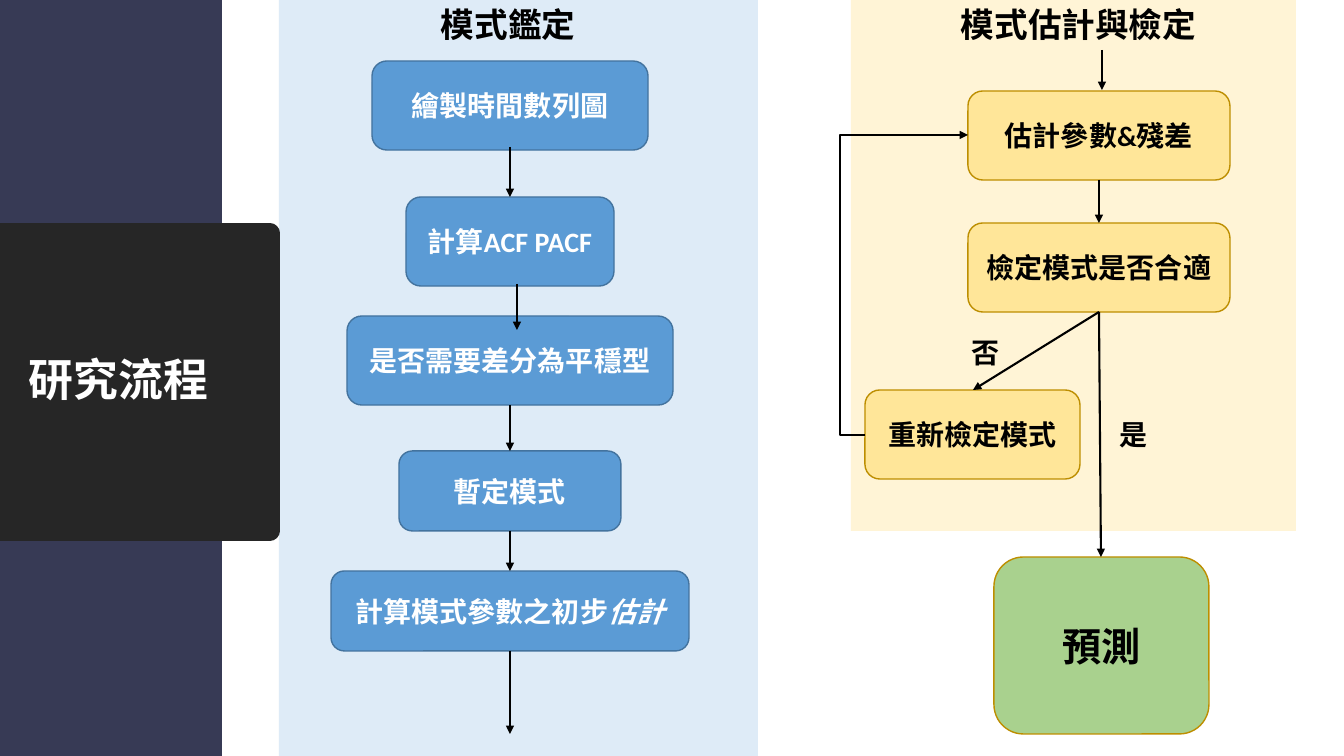
from lxml import etree
from pptx import Presentation
from pptx.dml.color import RGBColor
from pptx.enum.shapes import MSO_CONNECTOR, MSO_SHAPE
from pptx.enum.text import MSO_ANCHOR, PP_ALIGN
from pptx.oxml.ns import qn
from pptx.util import Pt

RECT, ROUND = MSO_SHAPE.RECTANGLE, MSO_SHAPE.ROUNDED_RECTANGLE
STRAIGHT, ELBOW = MSO_CONNECTOR.STRAIGHT, MSO_CONNECTOR.ELBOW
CENTER, LEFT, MIDDLE = PP_ALIGN.CENTER, PP_ALIGN.LEFT, MSO_ANCHOR.MIDDLE

PX = 914400 / 100.8
WIDTH, HEIGHT = 1344, 756
TITLE_ONLY = 5
FONT = "Calibri"

BLACK = RGBColor(0x00, 0x00, 0x00)
WHITE = RGBColor(0xFF, 0xFF, 0xFF)
CHARCOAL = RGBColor(0x26, 0x26, 0x26)
NAVY = RGBColor(0x37, 0x3A, 0x55)
PALE_BLUE = RGBColor(0xDE, 0xEB, 0xF7)
BLUE = RGBColor(0x5B, 0x9B, 0xD5)
DARK_BLUE = RGBColor(0x43, 0x73, 0x9E)
CREAM = RGBColor(0xFF, 0xF2, 0xCC)
YELLOW = RGBColor(0xFF, 0xE6, 0x99)
GOLD = RGBColor(0xBD, 0x8E, 0x00)
GREEN = RGBColor(0xA9, 0xD1, 0x8E)


def emu(*lengths):
    return [round(n * PX) for n in lengths]


class FlowSlide:
    """One title-only slide and the style of its elements."""

    def __init__(self, prs):
        self.slide = prs.slides.add_slide(prs.slide_layouts[TITLE_ONLY])
        self.shapes = self.slide.shapes

    def set_text(self, sp, runs, size, color, align=CENTER):
        """Fill a shape with one bold paragraph; runs after the first are italic."""
        tf = sp.text_frame
        tf.vertical_anchor = MIDDLE
        p = tf.paragraphs[0]
        p.alignment = align
        p.font.name, p.font.size, p.font.bold = FONT, Pt(size), True
        p.font.color.rgb = color
        for i, text in enumerate(runs):
            r = p.add_run()
            r.text = text
            if i:
                r.font.italic = True
        return p

    def title(self, text, x, y, w, h):
        sp = self.shapes.title
        sp.left, sp.top, sp.width, sp.height = emu(x, y, w, h)
        sp.fill.solid()
        sp.fill.fore_color.rgb = CHARCOAL
        sp.line.color.rgb = CHARCOAL
        sp.line.width = Pt(13.75)
        self.set_text(sp, [text], 32, WHITE).line_spacing = 0.9
        # Bring the title in front of the panels drawn so far.
        sp.element.getparent().append(sp.element)

    def panel(self, x, y, w, h, fill, opacity=100, kind=RECT):
        sp = self.shapes.add_shape(kind, *emu(x, y, w, h))
        sp.shadow.inherit = False
        sp.fill.solid()
        sp.fill.fore_color.rgb = fill
        sp.line.fill.background()
        if opacity < 100:
            clr = sp.element.spPr.find(".//" + qn("a:srgbClr"))
            etree.SubElement(clr, qn("a:alpha"), val=str(opacity * 1000))
        return sp

    def box(self, x, y, w, h, runs, fill, line, color=BLACK, size=20):
        sp = self.panel(x, y, w, h, fill, kind=ROUND)
        sp.line.color.rgb = line
        sp.line.width = Pt(1)
        sp.text_frame.word_wrap = True
        self.set_text(sp, runs, size, color)

    def label(self, x, y, w, h, text, size):
        sp = self.shapes.add_textbox(*emu(x, y, w, h))
        sp.text_frame.word_wrap = False
        self.set_text(sp, [text], size, BLACK, LEFT)

    def arrow(self, x1, y1, x2, y2, kind=STRAIGHT):
        cxn = self.shapes.add_connector(kind, *emu(x1, y1, x2, y2))
        cxn.line.color.rgb = BLACK
        cxn.line.width = Pt(1.5)
        spPr = cxn.element.spPr
        etree.SubElement(spPr.find(qn("a:ln")), qn("a:tailEnd"), type="triangle")
        etree.SubElement(spPr, qn("a:effectLst"))
        return cxn

    def loop_arrow(self, x1, y1, x2, y2, bend_x):
        """Draw an elbow arrow whose vertical part lies at bend_x."""
        spPr = self.arrow(x1, y1, x2, y2, ELBOW).element.spPr
        geom = spPr.find(qn("a:prstGeom"))
        av = geom.find(qn("a:avLst"))
        if av is None:
            av = etree.SubElement(geom, qn("a:avLst"))
        bend = round((bend_x - x1) / (x2 - x1) * 100000)
        etree.SubElement(av, qn("a:gd"), name="adj1", fmla=f"val {bend}")


def main():
    prs = Presentation()
    prs.slide_width, prs.slide_height = emu(WIDTH, HEIGHT)
    s = FlowSlide(prs)

    s.panel(279, 0, 479, HEIGHT, PALE_BLUE)
    s.panel(0, 0, 222, HEIGHT, NAVY)
    s.title("研究流程", -33, 233, 303, 298)
    s.panel(851, 0, 445, 531, CREAM, opacity=80)

    axis = 510
    identification_steps = [
        (61, 276, 89, ["繪製時間數列圖"]),
        (197, 208, 89, ["計算ACF PACF"]),
        (316, 326, 89, ["是否需要差分為平穩型"]),
        (451, 222, 80, ["暫定模式"]),
        (571, 358, 80, ["計算模式參數之初步", "估計"]),
    ]
    for top, w, h, runs in identification_steps:
        s.box(axis - w // 2, top, w, h, runs, BLUE, DARK_BLUE, WHITE)
    for x, start, end in [(axis, 147, 197), (517, 284, 330), (axis, 405, 451),
                          (axis, 531, 571), (axis, 651, 734)]:
        s.arrow(x, start, x, end)

    for x, y, w, text in [(968, 91, 262, "估計參數&殘差"),
                          (968, 223, 262, "檢定模式是否合適"),
                          (865, 390, 215, "重新檢定模式")]:
        s.box(x, y, w, 89, [text], YELLOW, GOLD)
    s.box(994, 557, 215, 177, ["預測"], GREEN, GOLD, size=28)

    s.arrow(1102, 50, 1102, 90)
    s.arrow(1099, 180, 1099, 223)
    s.arrow(1099, 312, 973, 390)
    s.arrow(1099, 312, 1101, 557)
    s.loop_arrow(865, 435, 968, 135, bend_x=840)

    s.label(951, -1, 258, 51, "模式估計與檢定", 24)
    s.label(431, -1, 156, 51, "模式鑑定", 24)
    s.label(1110, 412, 48, 44, "是", 20)
    s.label(962, 330, 48, 44, "否", 20)

    prs.save("out.pptx")


if __name__ == "__main__":
    main()
